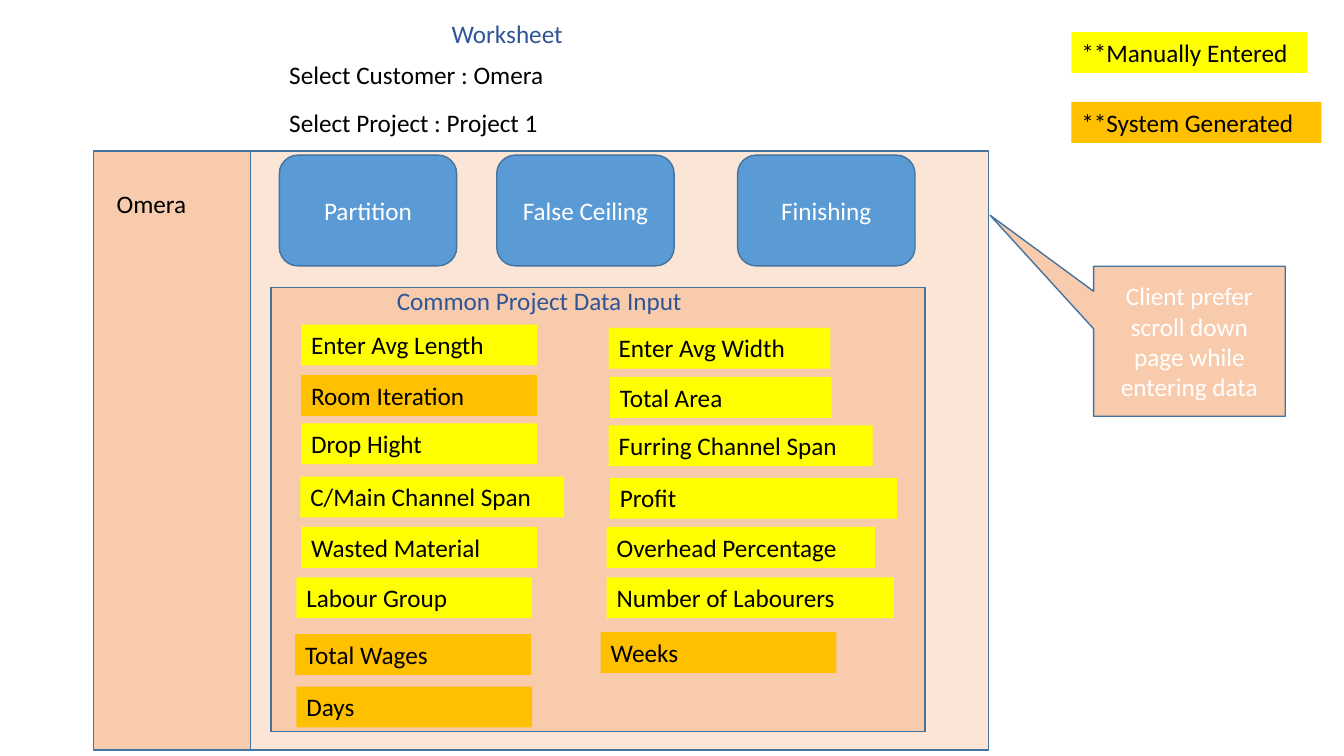
from pptx import Presentation
from pptx.dml.color import RGBColor
from pptx.enum.shapes import MSO_SHAPE
from pptx.enum.text import MSO_ANCHOR, MSO_AUTO_SIZE, PP_ALIGN
from pptx.util import Cm, Pt

COLORS = {
    "panel": "FBE5D6", "peach": "F8CBAD", "outline": "43739E",
    "button": "5B9BD5", "heading": "2F5597", "manual": "FFFF00",
    "system": "FFC000", "dark": "000000", "light": "FFFFFF",
}
ROW_HEIGHT = 1.03


class Worksheet:
    """Draws the worksheet elements on one slide in a shared style."""

    def __init__(self, slide, font="Calibri", size=18):
        self.slide = slide
        self.font = font
        self.size = size

    def color(self, name):
        return RGBColor.from_string(COLORS[name])

    def add_text(self, frame, text, color):
        frame.word_wrap = True
        paragraph = frame.paragraphs[0]
        run = paragraph.add_run()
        run.text = text
        run.font.name = self.font
        run.font.size = Pt(self.size)
        run.font.color.rgb = self.color(color)
        return paragraph

    def box(self, kind, left, top, width, height, fill, text=""):
        shape = self.slide.shapes.add_shape(
            kind, Cm(left), Cm(top), Cm(width), Cm(height))
        shape.shadow.inherit = False
        shape.fill.solid()
        shape.fill.fore_color.rgb = self.color(fill)
        shape.line.color.rgb = self.color("outline")
        shape.line.width = Pt(1)
        if text:
            shape.text_frame.vertical_anchor = MSO_ANCHOR.MIDDLE
            self.add_text(shape.text_frame, text, "light").alignment = PP_ALIGN.CENTER
        return shape

    def label(self, left, top, width, text, color="dark"):
        label = self.slide.shapes.add_textbox(
            Cm(left), Cm(top), Cm(width), Cm(ROW_HEIGHT))
        self.add_text(label.text_frame, text, color)
        label.text_frame.auto_size = MSO_AUTO_SIZE.SHAPE_TO_FIT_TEXT
        return label

    def tag(self, left, top, width, text, source="manual"):
        tag = self.label(left, top, width, text)
        tag.fill.solid()
        tag.fill.fore_color.rgb = self.color(source)


prs = Presentation()
prs.slide_width, prs.slide_height = Cm(33.87), Cm(19.05)
sheet = Worksheet(prs.slides.add_slide(prs.slide_layouts[6]))

sheet.box(MSO_SHAPE.RECTANGLE, 2.39, 3.81, 22.53, 15.09, "panel")
sheet.box(MSO_SHAPE.RECTANGLE, 2.36, 3.81, 3.96, 15.09, "peach")

sheet.label(11.13, 0.33, 6.2, "Worksheet", "heading")
sheet.label(7.04, 1.37, 11.1, "Select Customer : Omera")
sheet.label(7.04, 2.57, 11.1, "Select Project : Project 1")
sheet.label(2.69, 4.62, 2.69, "Omera")

for left, name in ((7.04, "Partition"), (12.52, "False Ceiling"), (18.59, "Finishing")):
    sheet.box(MSO_SHAPE.ROUNDED_RECTANGLE, left, 3.91, 4.47, 2.79, "button", name)

sheet.box(MSO_SHAPE.RECTANGLE, 6.83, 7.24, 16.48, 11.2, "peach")
sheet.label(9.75, 7.06, 12.32, "Common Project Data Input", "heading")

legend = [
    (27.0, 0.81, 5.94, "**Manually Entered", "manual"),
    (27.0, 2.57, 6.3, "**System Generated", "system"),
]
left_fields = [
    (7.59, 8.18, 5.94, "Enter Avg Length", "manual"),
    (7.59, 9.45, 5.94, "Room Iteration", "system"),
    (7.59, 10.67, 5.94, "Drop Hight", "manual"),
    (7.57, 12.01, 6.65, "C/Main Channel Span", "manual"),
    (7.59, 13.28, 5.94, "Wasted Material", "manual"),
    (7.47, 14.55, 5.94, "Labour Group", "manual"),
    (7.44, 15.98, 5.94, "Total Wages", "system"),
    (7.47, 17.3, 5.94, "Days", "system"),
]
right_fields = [
    (15.34, 8.26, 5.59, "Enter Avg Width", "manual"),
    (15.37, 9.5, 5.59, "Total Area", "manual"),
    (15.34, 10.72, 6.65, "Furring Channel Span", "manual"),
    (15.37, 12.04, 7.24, "Profit", "manual"),
    (15.29, 13.28, 6.76, "Overhead Percentage", "manual"),
    (15.29, 14.55, 7.24, "Number of Labourers", "manual"),
    (15.14, 15.93, 5.94, "Weeks", "system"),
]
for field in legend + left_fields + right_fields:
    sheet.tag(*field)

callout = sheet.box(MSO_SHAPE.RECTANGULAR_CALLOUT, 27.56, 6.71, 4.83, 3.78, "peach",
                    "Client prefer scroll down page while entering data")
callout.adjustments[0] = -1.04
callout.adjustments[1] = -0.84

prs.save("out.pptx")
